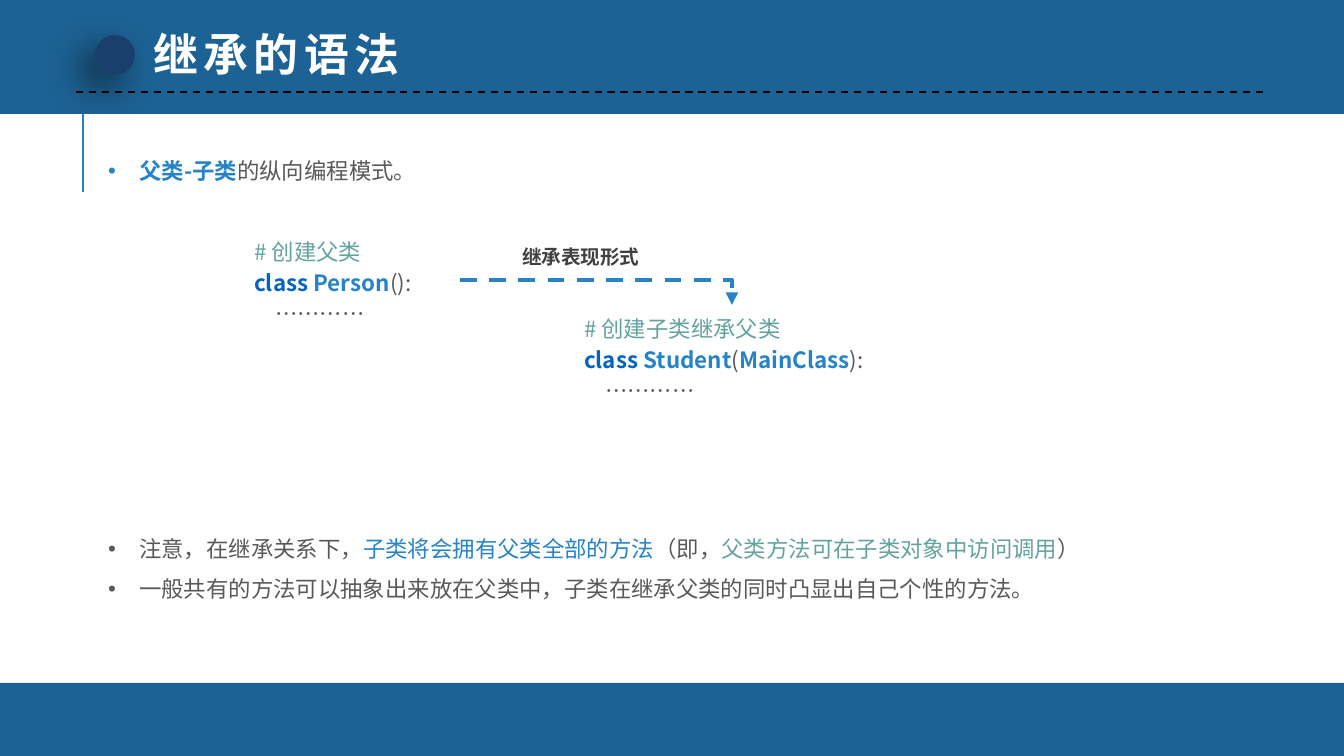
"""Build a slide that explains the syntax of class inheritance."""
from lxml import etree
from pptx import Presentation
from pptx import util as u
from pptx.dml.color import RGBColor
from pptx.enum import dml, shapes, text
from pptx.oxml import parse_xml
from pptx.oxml.ns import nsdecls, qn

SCALE = 914400 / 134.4
FONT = "Noto Sans CJK SC"
BLUE, BAR, GREY, GREEN, KEYWORD = "2683C6", "1D6294", "595959", "62A39F", "0563C1"
INDENT = 31


def paint(color_format, color):
    color_format.rgb = RGBColor.from_string(color)


def px(*lengths):
    return [u.Emu(round(length * SCALE)) for length in lengths]


deck = Presentation()
deck.slide_width, deck.slide_height = px(1344, 756)
page = deck.slides.add_slide(deck.slide_layouts[6])

connectors = [
    (shapes.MSO_CONNECTOR.STRAIGHT, (83, 192, 83, 91), BLUE, 1.5, False),
    (shapes.MSO_CONNECTOR.STRAIGHT, (76, 92, 1268, 92), "000000", 1, True),
    (shapes.MSO_CONNECTOR.ELBOW, (460, 280, 732, 305), BLUE, 2.25, True),
]
bars_and_dot = [
    (shapes.MSO_SHAPE.RECTANGLE, (0, 683, 1344, 73), BAR),
    (shapes.MSO_SHAPE.RECTANGLE, (0, -4, 1344, 118), BAR),
    (shapes.MSO_SHAPE.OVAL, (95, 35, 40, 40), "1A3F6C"),
]

lines = []
for kind, ends, color, width, dashed in connectors:
    line = page.shapes.add_connector(kind, *px(*ends))
    paint(line.line.color, color)
    line.line.width = u.Pt(width)
    if dashed:
        line.line.dash_style = dml.MSO_LINE.DASH
    lines.append(line)

for kind, place, color in bars_and_dot:
    shape = page.shapes.add_shape(kind, *px(*place))
    shape.shadow.inherit = False
    shape.fill.solid()
    paint(shape.fill.fore_color, color)
    shape.line.fill.background()
    page.shapes._spTree.remove(shape._element)
    page.shapes._spTree.insert(page.shapes._spTree.index(lines[1]._element), shape._element)

dot_effects = shape._element.spPr.find(qn("a:effectLst"))
dot_effects.append(parse_xml(
    f'<a:outerShdw {nsdecls("a")} blurRad="254000" dist="127000" dir="8100000" algn="tr" rotWithShape="0">'
    '<a:srgbClr val="000000"><a:alpha val="60000"/></a:srgbClr></a:outerShdw>'))

arrow = lines[2]
arrow._element.spPr.find(qn("a:prstGeom")).set("prst", "bentConnector2")
etree.SubElement(arrow.line._get_or_add_ln(), qn("a:tailEnd"), type="triangle")
for line in lines:
    etree.SubElement(line._element.spPr, qn("a:effectLst"))

texts = [
    ((140, 20, 282, 67), 24, "title", [[("继承的语法", "FFFFFF", True)]]),
    ((95, 137, 1107, 50), 12, "bullets", [
        [("父类-子类", BLUE, True), ("的纵向编程模式。", GREY, False)]]),
    ((241, 228, 296, 140), 12, "code", [
        [("# 创建父类", GREEN, False)],
        [("class ", KEYWORD, True), ("Person", BLUE, True), ("():", GREY, False)],
        [("…………", GREY, False)]]),
    ((571, 305, 323, 140), 12, "code", [
        [("# 创建子类继承父类", GREEN, False)],
        [("class ", KEYWORD, True), ("Student", BLUE, True), ("(", GREY, False),
         ("MainClass", BLUE, True), ("):", GREY, False)],
        [("…………", GREY, False)]]),
    ((509, 238, 146, 38), 10.5, "label", [[("继承表现形式", "404040", True)]]),
    ((95, 515, 1107, 90), 12, "bullets", [
        [("注意，在继承关系下，", GREY, False), ("子类将会拥有父类全部的方法", BLUE, False),
         ("（即，", GREY, False), ("父类方法可在子类对象中访问调用", GREEN, False), ("）", GREY, False)],
        [("一般共有的方法可以抽象出来放在父类中，子类在继承父类的同时凸显出自己个性的方法。", GREY, False)]]),
]

for place, size, role, paragraphs in texts:
    box = page.shapes.add_textbox(*px(*place))
    frame = box.text_frame
    frame.word_wrap = role in ("bullets", "code")
    frame.auto_size = text.MSO_AUTO_SIZE.SHAPE_TO_FIT_TEXT if role != "code" else text.MSO_AUTO_SIZE.NONE
    frame.text = "\n".join("" for _ in paragraphs)
    for para, spans in zip(frame.paragraphs, paragraphs):
        properties = para._p.get_or_add_pPr()
        if role == "bullets":
            para.line_spacing = 1.5
            properties.set("marL", str(px(INDENT)[0]))
            properties.set("indent", str(px(-INDENT)[0]))
            etree.SubElement(properties, qn("a:buFont"), typeface="Arial")
            etree.SubElement(properties, qn("a:buChar"), char="•")
        elif role == "code":
            para.line_spacing = u.Pt(16.5)
            if spans[0][0] == "…………":
                properties.set("marL", str(px(21)[0]))
                properties.set("indent", "0")
        for words, color, bold in spans:
            span = para.add_run()
            span.text = words
            span.font.size = u.Pt(size)
            span.font.bold = bold
            span.font.name = FONT
            paint(span.font.color, color)
            run_properties = span._r.get_or_add_rPr()
            etree.SubElement(run_properties, qn("a:ea"), typeface=FONT)
            if role == "title":
                run_properties.set("spc", "300")

deck.save("out.pptx")
